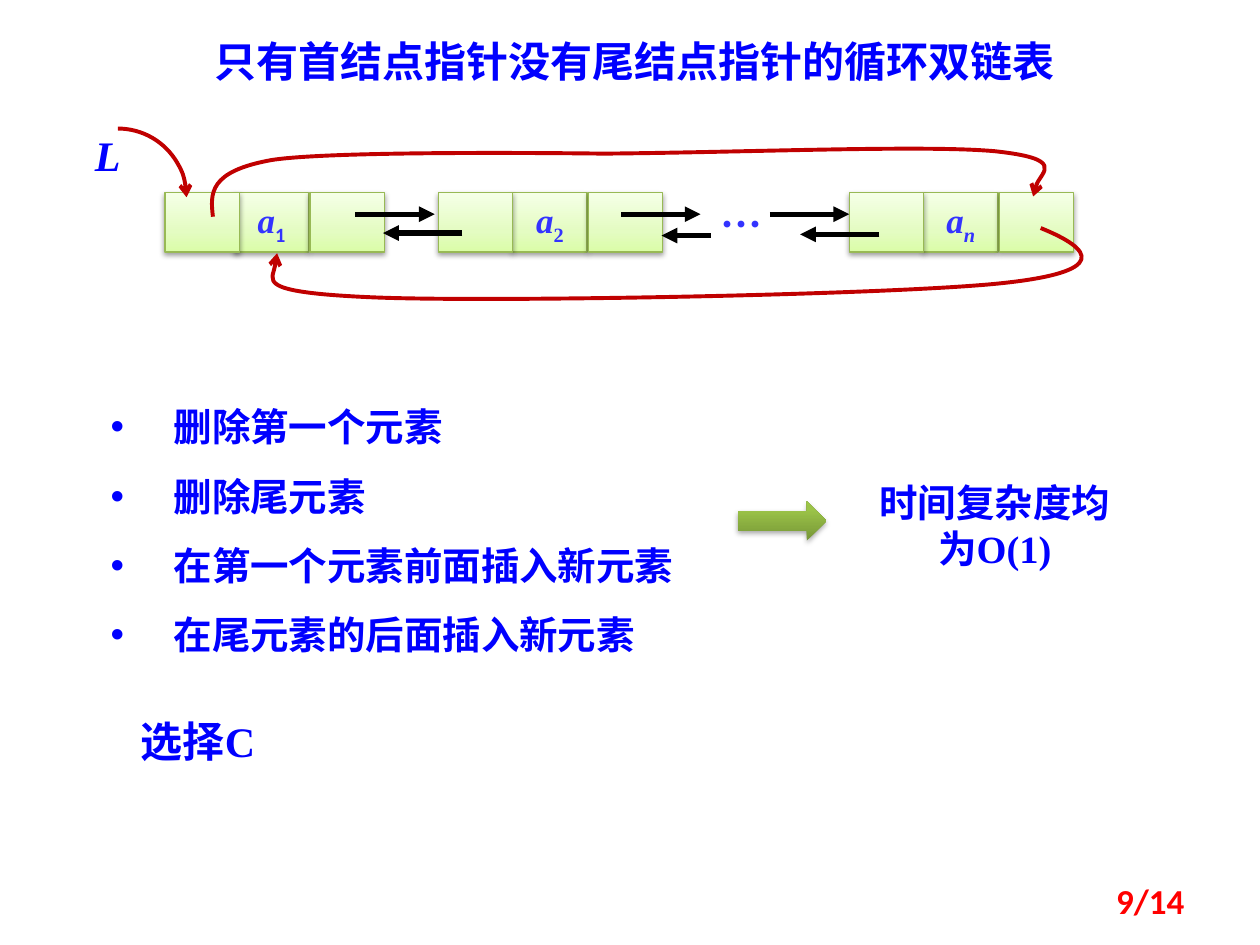
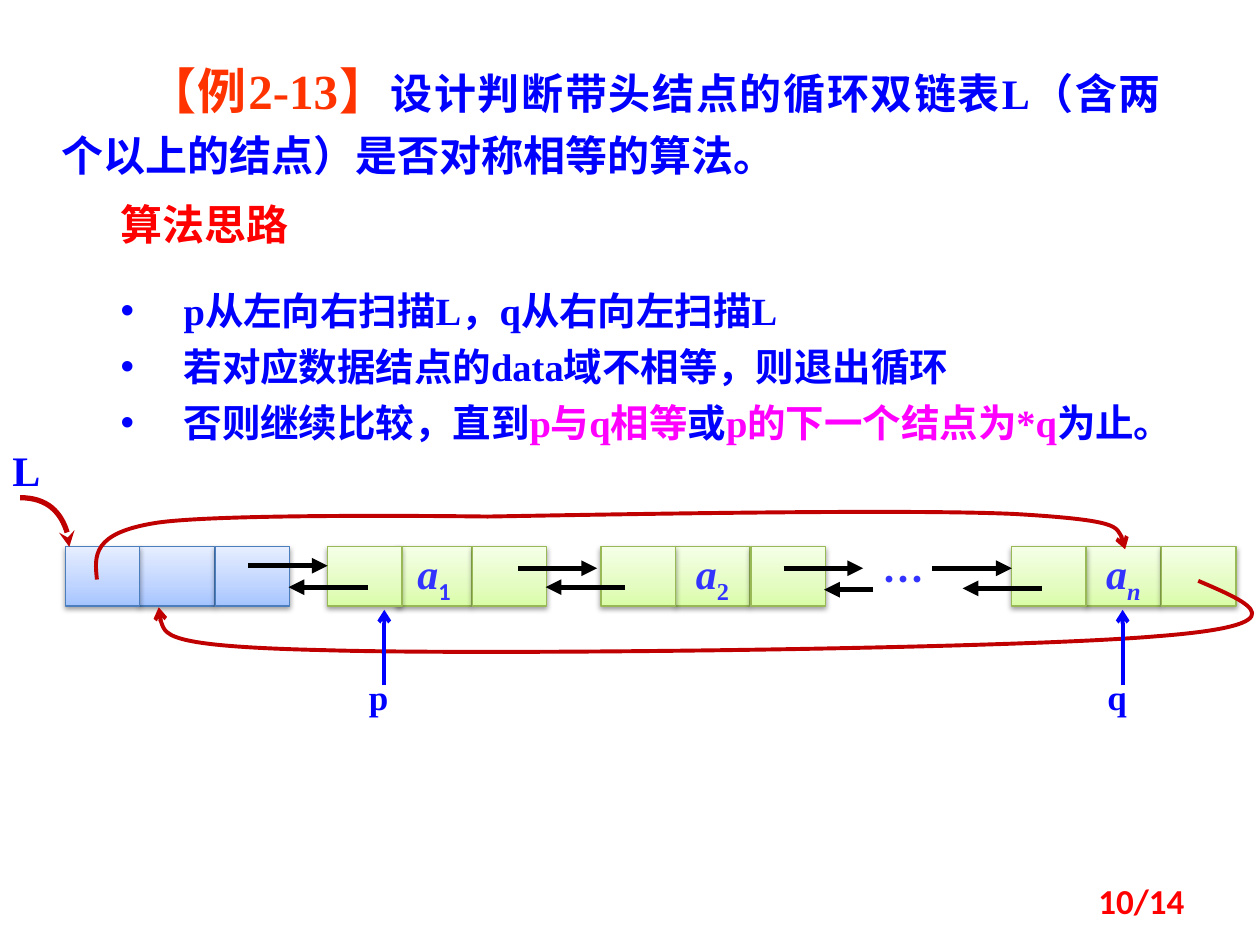
from dataclasses import dataclass
from typing import NamedTuple, Optional

from lxml.etree import SubElement
from pptx import Presentation
from pptx.dml.color import RGBColor
from pptx.enum.shapes import MSO_CONNECTOR, MSO_SHAPE
from pptx.enum.text import MSO_ANCHOR, MSO_AUTO_SIZE, PP_ALIGN
from pptx.oxml.ns import qn
from pptx.util import Inches, Pt

SERIF, CJK, SANS = "Times New Roman", "Noto Sans CJK SC", "Calibri"

COLORS = {
    "text": "0000FF",
    "label": "3333FF",
    "heading": "FF0000",
    "example": "FF3300",
    "emphasis": "FF00FF",
    "link": "000000",
    "ring": "C00000",
    "node_line": "98B955",
    "head_line": "4B7EBC",
}
GRADIENTS = {
    "node": ((0, "DAFDA7"), (35, "E4FCC2"), (100, "F5FFE7")),
    "head": ((0, "A4C4FF"), (35, "BFD4FF"), (100, "E6EEFF")),
    "result": ((0, "779737"), (80, "9BC348"), (100, "9DC746")),
}
FORMATS = {
    "large": {"name": SERIF, "size": Pt(24), "bold": True},
    "body": {"name": SERIF, "size": Pt(22), "bold": True},
    "pointer": {"name": SERIF, "size": Pt(20), "bold": True},
    "large_cjk": {"name": CJK, "size": Pt(24), "bold": True},
    "example": {"name": SERIF, "size": Pt(28), "bold": True},
    "example_cjk": {"name": CJK, "size": Pt(28), "bold": True},
    "page": {"name": SANS, "size": Pt(20), "bold": True},
}
CELL_WIDTH, CELL_HEIGHT, ROW_TOP = 0.59, 0.47, 1.53
TOTAL_PAGES = 14


class Span(NamedTuple):
    text: str
    style: str
    color: str = "text"
    italic: bool = False


class Link(NamedTuple):
    start: float
    end: float
    y: float


class Point(NamedTuple):
    x: float
    y: float


@dataclass(frozen=True)
class Node:
    left: float
    subscript: str = ""
    data_offset: float = 0.59
    next_offset: float = 1.19
    subscript_format: Optional[dict] = None
    theme: str = "node"


# Places on the first slide; the second slide shifts the whole row.
NODES = (
    Node(1.31, "1", 0.55, 1.15, {"name": SANS, "italic": False}),
    Node(3.48, "2", subscript_format={"italic": False}),
    Node(6.74, "n", subscript_format={}),
)
LINKS = (
    Link(2.82, 3.45, 1.7), Link(4.93, 5.56, 1.7), Link(6.11, 6.74, 1.7),
    Link(3.67, 3.04, 1.85), Link(5.64, 5.25, 1.87), Link(6.98, 6.35, 1.86),
)


def rgb(color: str) -> RGBColor:
    return RGBColor.from_string(COLORS[color])


def apply_format(font, values: dict) -> None:
    for attribute, value in values.items():
        setattr(font, attribute, value)


def add_span(paragraph, span: Span, extra: Optional[dict] = None):
    run = paragraph.add_run()
    run.text = span.text
    apply_format(run.font, {**FORMATS[span.style], "italic": span.italic, **(extra or {})})
    run.font.color.rgb = rgb(span.color)
    properties = run._r.get_or_add_rPr()
    east_asian = SubElement(properties, qn("a:ea"))
    east_asian.set("typeface", CJK)
    return run


def add_bullet(paragraph) -> None:
    properties = paragraph._p.get_or_add_pPr()
    properties.set("marL", str(Inches(0.5)))
    properties.set("indent", str(Inches(-0.5)))
    SubElement(properties, qn("a:buFont")).set("typeface", "Arial")
    SubElement(properties, qn("a:buChar")).set("char", "•")


def add_text(slide, left: float, top: float, width: float, height: float,
             paragraphs: list, align=PP_ALIGN.LEFT, spacing=None,
             bulleted: bool = False, fit: bool = True):
    """Place a box with one paragraph per list of spans."""
    box = slide.shapes.add_textbox(Inches(left), Inches(top), Inches(width), Inches(height))
    frame = box.text_frame
    frame.word_wrap = True
    frame.auto_size = MSO_AUTO_SIZE.SHAPE_TO_FIT_TEXT if fit else MSO_AUTO_SIZE.NONE
    for index, spans in enumerate(paragraphs):
        paragraph = frame.add_paragraph() if index else frame.paragraphs[0]
        if bulleted:
            add_bullet(paragraph)
        paragraph.alignment = align
        if spacing is not None:
            paragraph.line_spacing = spacing
        for span in spans:
            add_span(paragraph, span)
    return frame


def fill_gradient(shape, theme: str) -> None:
    shape.fill.gradient()
    gradient = shape._element.spPr.find(qn("a:gradFill"))
    stops = gradient.find(qn("a:gsLst"))
    for stop in list(stops):
        stops.remove(stop)
    for position, color in GRADIENTS[theme]:
        stop = SubElement(stops, qn("a:gs"), pos=str(position * 1000))
        SubElement(stop, qn("a:srgbClr"), val=color)
    gradient.find(qn("a:lin")).set("ang", str(270 * 60000))


def add_soft_shadow(shape, opacity: int) -> None:
    shape.shadow.inherit = False
    effects = shape._element.spPr.find(qn("a:effectLst"))
    shadow = SubElement(effects, qn("a:outerShdw"), blurRad=str(Pt(3.1)),
                        dist=str(Pt(1.6)), dir=str(90 * 60000), rotWithShape="0")
    color = SubElement(shadow, qn("a:srgbClr"), val="000000")
    SubElement(color, qn("a:alpha"), val=str(opacity * 1000))


def style_stroke(shape, color: str, width: float, arrowhead: str) -> None:
    shape.line.color.rgb = rgb(color)
    shape.line.width = Pt(width)
    SubElement(shape._element.spPr.find(qn("a:ln")), qn("a:tailEnd"), type=arrowhead)


def add_arrow(slide, start: Point, end: Point, color: str = "link",
              width: float = 3, arrowhead: str = "triangle") -> None:
    arrow = slide.shapes.add_connector(
        MSO_CONNECTOR.STRAIGHT, *(Inches(v) for v in (*start, *end)))
    style_stroke(arrow, color, width, arrowhead)
    SubElement(arrow._element.spPr, qn("a:effectLst"))


def add_curve(slide, points: list, width: float = 2.25, arrowhead: str = "arrow") -> None:
    """Draw Bezier curves: a start point, then three points for each segment."""
    start, *controls = [(Inches(x), Inches(y)) for x, y in points]
    builder = slide.shapes.build_freeform(*start)
    builder.add_line_segments(controls, close=False)
    curve = builder.convert_to_shape()
    outline = next(curve._element.iter(qn("a:path")))
    steps = outline.findall(qn("a:lnTo"))
    for triple in zip(steps[::3], steps[1::3], steps[2::3]):
        segment = SubElement(outline, qn("a:cubicBezTo"))
        for step in triple:
            segment.append(step[0])
            outline.remove(step)
    curve.fill.background()
    curve.shadow.inherit = False
    style_stroke(curve, "ring", width, arrowhead)


def add_cell(slide, left: float, top: float, theme: str):
    cell = slide.shapes.add_shape(MSO_SHAPE.RECTANGLE, Inches(left), Inches(top),
                                  Inches(CELL_WIDTH), Inches(CELL_HEIGHT))
    fill_gradient(cell, theme)
    cell.line.color.rgb = rgb(f"{theme}_line")
    cell.line.width = Pt(0.75)
    add_soft_shadow(cell, 38)
    return cell


def draw_node(slide, node: Node, dx: float, dy: float, label_style: str) -> None:
    """Draw the data and next cells, then the prior cell on top of them."""
    left, top = node.left + dx, ROW_TOP + dy
    data = add_cell(slide, left + node.data_offset, top, node.theme)
    for offset in (node.next_offset, 0):
        add_cell(slide, left + offset, top, node.theme)
    if node.subscript:
        frame = data.text_frame
        frame.word_wrap = False
        frame.vertical_anchor = MSO_ANCHOR.MIDDLE
        paragraph = frame.paragraphs[0]
        paragraph.alignment = PP_ALIGN.CENTER
        add_span(paragraph, Span("a", label_style, "label", True))
        index = add_span(paragraph, Span(node.subscript, label_style, "label", True),
                         node.subscript_format)
        index._r.get_or_add_rPr().set("baseline", "-25000")


def draw_linked_list(slide, nodes: tuple, links: tuple, label_style: str,
                     dx: float = 0, dy: float = 0) -> None:
    for node in nodes:
        draw_node(slide, node, dx, dy, label_style)
    add_text(slide, 5.57 + dx, ROW_TOP + dy, 0.63, 0.5,
             [[Span("…", "large_cjk", "label")]], PP_ALIGN.CENTER)
    for link in links:
        add_arrow(slide, Point(link.start + dx, link.y + dy), Point(link.end + dx, link.y + dy))


def add_page_number(slide, page: int) -> None:
    frame = add_text(slide, 7.17, 6.95, 2.33, 0.4,
                     [[Span(f"{page}/{TOTAL_PAGES}", "page", "heading")]],
                     PP_ALIGN.RIGHT, fit=False)
    frame.vertical_anchor = MSO_ANCHOR.MIDDLE


def build_complexity_slide(slide) -> None:
    draw_linked_list(slide, NODES, LINKS, "pointer")
    entry = slide.shapes.add_shape(MSO_SHAPE.ARC, Inches(0.39), Inches(1.02),
                                   Inches(1.09), Inches(1.09))
    entry.fill.background()
    entry.shadow.inherit = False
    style_stroke(entry, "ring", 2.25, "arrow")
    add_text(slide, 0.62, 0.98, 0.47, 0.5, [[Span("L", "large", italic=True)]], PP_ALIGN.CENTER)
    add_curve(slide, [(1.69, 1.72), (1.67, 1.54), (1.65, 1.36), (2.16, 1.27),
                      (2.68, 1.19), (4.79, 1.22), (4.79, 1.22),
                      (5.92, 1.21), (7.32, 1.15), (7.89, 1.2),
                      (8.46, 1.26), (8.19, 1.44), (8.2, 1.56)])
    add_curve(slide, [(8.26, 1.81), (8.68, 1.98), (8.81, 2.16), (7.93, 2.25),
                      (7.05, 2.34), (3.91, 2.4), (2.96, 2.36),
                      (2.01, 2.32), (2.19, 2.17), (2.2, 2.01)])
    add_text(slide, 1.56, 0.23, 6.95, 0.5,
             [[Span("只有首结点指针没有尾结点指针的循环双链表", "large")]], PP_ALIGN.CENTER)
    operations = ("删除第一个元素", "删除尾元素", "在第一个元素前面插入新元素", "在尾元素的后面插入新元素")
    add_text(slide, 0.78, 2.97, 4.77, 2.25, [[Span(name, "body")] for name in operations],
             spacing=1.5, bulleted=True)
    implies = slide.shapes.add_shape(MSO_SHAPE.RIGHT_ARROW, Inches(5.86), Inches(3.98),
                                     Inches(0.7), Inches(0.31))
    fill_gradient(implies, "result")
    implies.line.fill.background()
    add_soft_shadow(implies, 35)
    add_text(slide, 6.8, 3.75, 2.19, 0.84, [[Span("时间复杂度均为O(1)", "body")]], PP_ALIGN.CENTER)
    add_text(slide, 1.02, 5.63, 1.72, 0.5, [[Span("选择C", "large")]])


def build_symmetry_slide(slide) -> None:
    dx, dy = 1.29, 2.81
    problem = add_text(slide, 0.39, 0.34, 8.92, 1.15, [[
        Span("【例", "example_cjk", "example"),
        Span("2-13", "example", "example"),
        Span("】", "example_cjk", "example"),
        Span("设计判断带头结点的循环双链表L（含两个以上的结点）是否对称相等的算法。", "large"),
    ]], PP_ALIGN.JUSTIFY, spacing=1.2)
    problem.paragraphs[0]._p.get_or_add_pPr().set("indent", str(Inches(0.68)))
    add_text(slide, 0.86, 1.53, 2.03, 0.5, [[Span("算法思路", "large_cjk", "heading")]])
    add_text(slide, 0.86, 2.15, 8.83, 1.45, [
        [Span("p从左向右扫描L，q从右向左扫描L", "body")],
        [Span("若对应数据结点的data域不相等，则退出循环", "body")],
        [Span("否则继续比较，直到", "body"), Span("p与q相等", "body", "emphasis"),
         Span("或", "body"), Span("p的下一个结点为*q", "body", "emphasis"),
         Span("为止。", "body")],
    ], spacing=Pt(32), bulleted=True)

    head = Node(0.52 - dx, theme="head")
    head_links = (Link(1.97 - dx, 2.6 - dx, 4.49 - dy), Link(2.92 - dx, 2.29 - dx, 4.66 - dy))
    draw_linked_list(slide, (head, *NODES), (*head_links, *LINKS), "large", dx, dy)

    add_curve(slide, [(0.16, 3.95), (0.38, 3.95), (0.55, 4.13), (0.55, 4.34)], 3, "stealth")
    add_text(slide, 0, 3.48, 0.47, 0.5, [[Span("L", "large")]])
    add_curve(slide, [(0.77, 4.6), (0.75, 4.41), (0.73, 4.23), (1.24, 4.15),
                      (1.76, 4.07), (3.87, 4.1), (3.87, 4.1),
                      (5.01, 4.08), (7.22, 4.04), (8.06, 4.08),
                      (8.91, 4.13), (8.92, 4.24), (8.93, 4.36)])
    add_curve(slide, [(9.51, 4.61), (9.93, 4.79), (10.34, 4.96), (9.18, 5.05),
                      (8.02, 5.15), (3.89, 5.2), (2.57, 5.16),
                      (1.25, 5.13), (1.26, 4.97), (1.26, 4.82)])
    for pointer, x in (("p", 3.05), ("q", 8.91)):
        add_arrow(slide, Point(x, 5.44), Point(x, 4.84), "text", 2.25, "arrow")
        add_text(slide, x - 0.32, 5.31, 0.55, 0.44, [[Span(pointer, "pointer")]], PP_ALIGN.CENTER)


def main() -> None:
    deck = Presentation()
    deck.slide_width, deck.slide_height = Inches(10), Inches(7.5)
    blank = deck.slide_layouts[6]
    for page, build in enumerate((build_complexity_slide, build_symmetry_slide), start=9):
        slide = deck.slides.add_slide(blank)
        build(slide)
        add_page_number(slide, page)
    deck.save("out.pptx")


if __name__ == "__main__":
    main()
